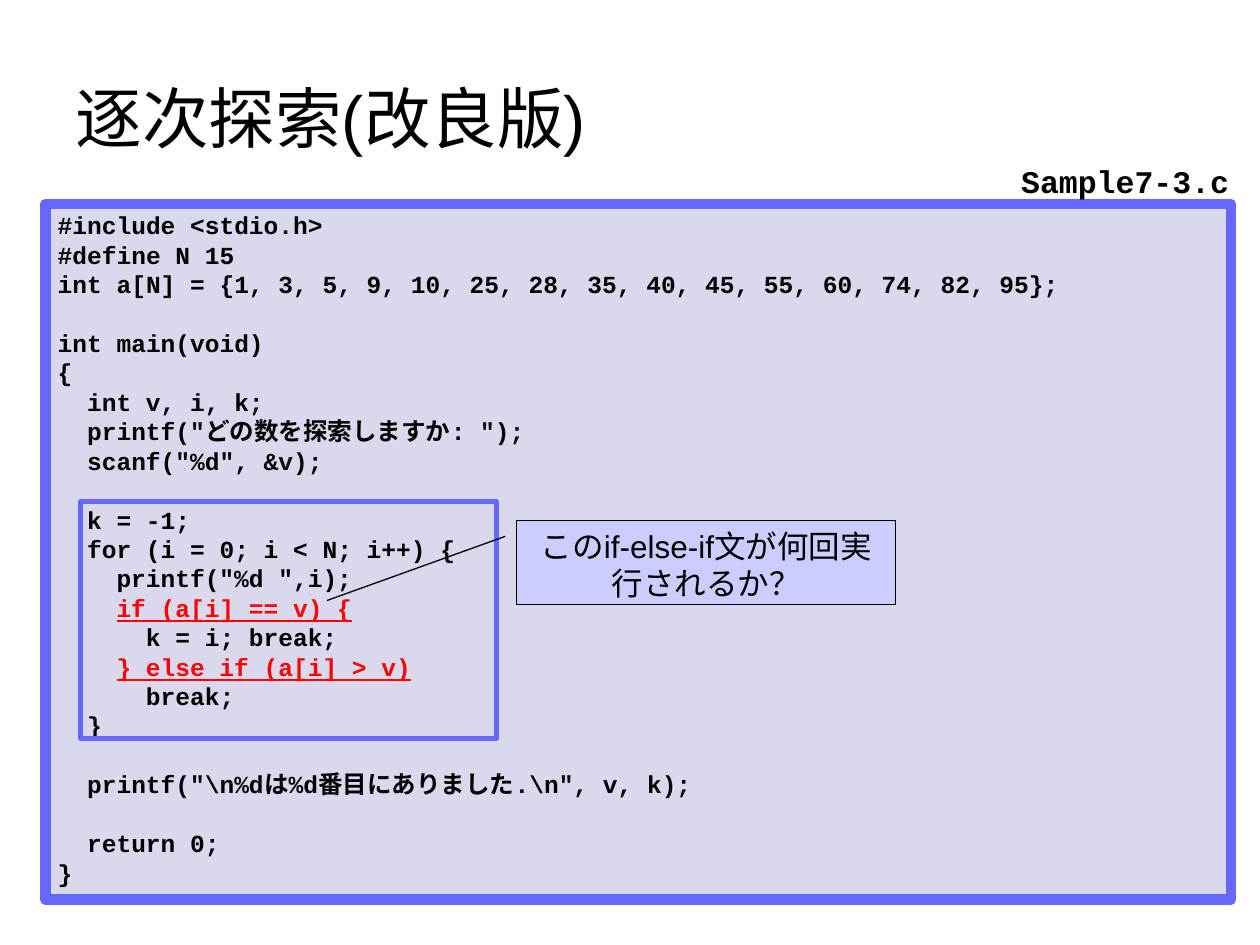
from dataclasses import dataclass
from pptx import Presentation
from pptx.dml.color import RGBColor
from pptx.enum.shapes import MSO_SHAPE
from pptx.enum.text import MSO_ANCHOR, MSO_AUTO_SIZE, PP_ALIGN
from pptx.util import Inches, Pt

W, H = 10, 7.5
RECT, CALLOUT = MSO_SHAPE.RECTANGLE, MSO_SHAPE.LINE_CALLOUT_1
TOP, MIDDLE = MSO_ANCHOR.TOP, MSO_ANCHOR.MIDDLE
LEFT, CENTER = PP_ALIGN.LEFT, PP_ALIGN.CENTER
SANS, MONO = "Arial", "Courier New"
BLACK, RED, VIOLET = "000000", "FF0000", "6767FF"
CODE_SIZE, LINE_HEIGHT = 14, 16.83
INDENT = 2 * 0.6 * CODE_SIZE


@dataclass
class Box:
    x: float
    y: float
    w: float
    h: float

    def emu(self):
        return [Inches(round(v, 2)) for v in
                (self.x * W, self.y * H, self.w * W, self.h * H)]


@dataclass
class CodeLine:
    text: str
    level: int = 0
    gap: bool = False
    marked: bool = False


CODE = [
    CodeLine("#include <stdio.h>"),
    CodeLine("#define N 15"),
    CodeLine("int a[N] = {1, 3, 5, 9, 10, 25, 28, 35, 40, 45, 55, 60, 74, 82, 95};"),
    CodeLine("int main(void)", gap=True),
    CodeLine("{"),
    CodeLine("int v, i, k;", 1),
    CodeLine('printf("どの数を探索しますか: ");', 1),
    CodeLine('scanf("%d", &v);', 1),
    CodeLine("k = -1;", 1, gap=True),
    CodeLine("for (i = 0; i < N; i++) {", 1),
    CodeLine('printf("%d ",i);', 2),
    CodeLine("if (a[i] == v) {", 2, marked=True),
    CodeLine("k = i; break;", 3),
    CodeLine("} else if (a[i] > v)", 2, marked=True),
    CodeLine("break;", 3),
    CodeLine("}", 1),
    CodeLine(r'printf("\n%dは%d番目にありました.\n", v, k);', 1, gap=True),
    CodeLine("return 0;", 1, gap=True),
    CodeLine("}"),
]


def color(value: str) -> RGBColor:
    return RGBColor.from_string(value)


def style(p, size: float, font: str, ink: str = BLACK, bold: bool = False,
          align=LEFT, underline: bool = False) -> None:
    p.alignment = align
    for r in p.runs:
        r.font.size, r.font.name = Pt(size), font
        r.font.bold, r.font.underline = bold, underline
        r.font.color.rgb = color(ink)


def add_box(s, kind, box: Box, line: str, width: float, fill: str | None = None):
    sp = s.shapes.add_shape(kind, *box.emu())
    sp.shadow.inherit = False
    if fill:
        sp.fill.solid()
        sp.fill.fore_color.rgb = color(fill)
    else:
        sp.fill.background()
    sp.line.color.rgb = color(line)
    sp.line.width = Pt(width)
    return sp


def write_code(tf, lines: list[CodeLine]) -> None:
    tf.vertical_anchor = TOP
    tf.word_wrap = True
    for i, line in enumerate(lines):
        p = tf.add_paragraph() if i else tf.paragraphs[0]
        p.text = line.text
        style(p, CODE_SIZE, MONO, RED if line.marked else BLACK,
              bold=True, underline=line.marked)
        p.line_spacing = Pt(LINE_HEIGHT)
        p.space_before = Pt(LINE_HEIGHT if line.gap else 0)
        pPr = p._p.get_or_add_pPr()
        pPr.set("marL", str(Pt(INDENT * line.level)))
        pPr.set("indent", "0")


def main() -> None:
    prs = Presentation()
    prs.slide_width, prs.slide_height = Inches(W), Inches(H)
    s = prs.slides.add_slide(prs.slide_layouts[5])

    title = s.shapes.title
    title.left, title.top, title.width, title.height = Box(0.05, 0.04, 0.9, 0.1667).emu()
    tf = title.text_frame
    tf.text = "逐次探索(改良版)"
    tf.vertical_anchor = MIDDLE
    tf.auto_size = MSO_AUTO_SIZE.NONE
    style(tf.paragraphs[0], 38, SANS)

    listing = add_box(s, RECT, Box(0.036, 0.216, 0.941, 0.736), VIOLET, 6, "D9D8EC")
    write_code(listing.text_frame, CODE)
    add_box(s, RECT, Box(0.064, 0.5307, 0.33, 0.2507), VIOLET, 3)

    callout = add_box(s, CALLOUT, Box(0.41, 0.5507, 0.301, 0.0893), BLACK, 0.75, "CCCCFF")
    for i, value in enumerate((0.19, -0.03, 0.95, -0.5)):
        callout.adjustments[i] = value
    tf = callout.text_frame
    tf.text = "このif-else-if文が何回実行されるか？"
    tf.word_wrap = True
    tf.vertical_anchor = TOP
    style(tf.paragraphs[0], 18, SANS, align=CENTER)

    label = s.shapes.add_textbox(*Box(0.8, 0.1653, 0.186, 0.0533).emu())
    tf = label.text_frame
    tf.text = "Sample7-3.c"
    tf.word_wrap = False
    style(tf.paragraphs[0], 18, MONO, bold=True, align=CENTER)

    prs.save("out.pptx")


if __name__ == "__main__":
    main()
